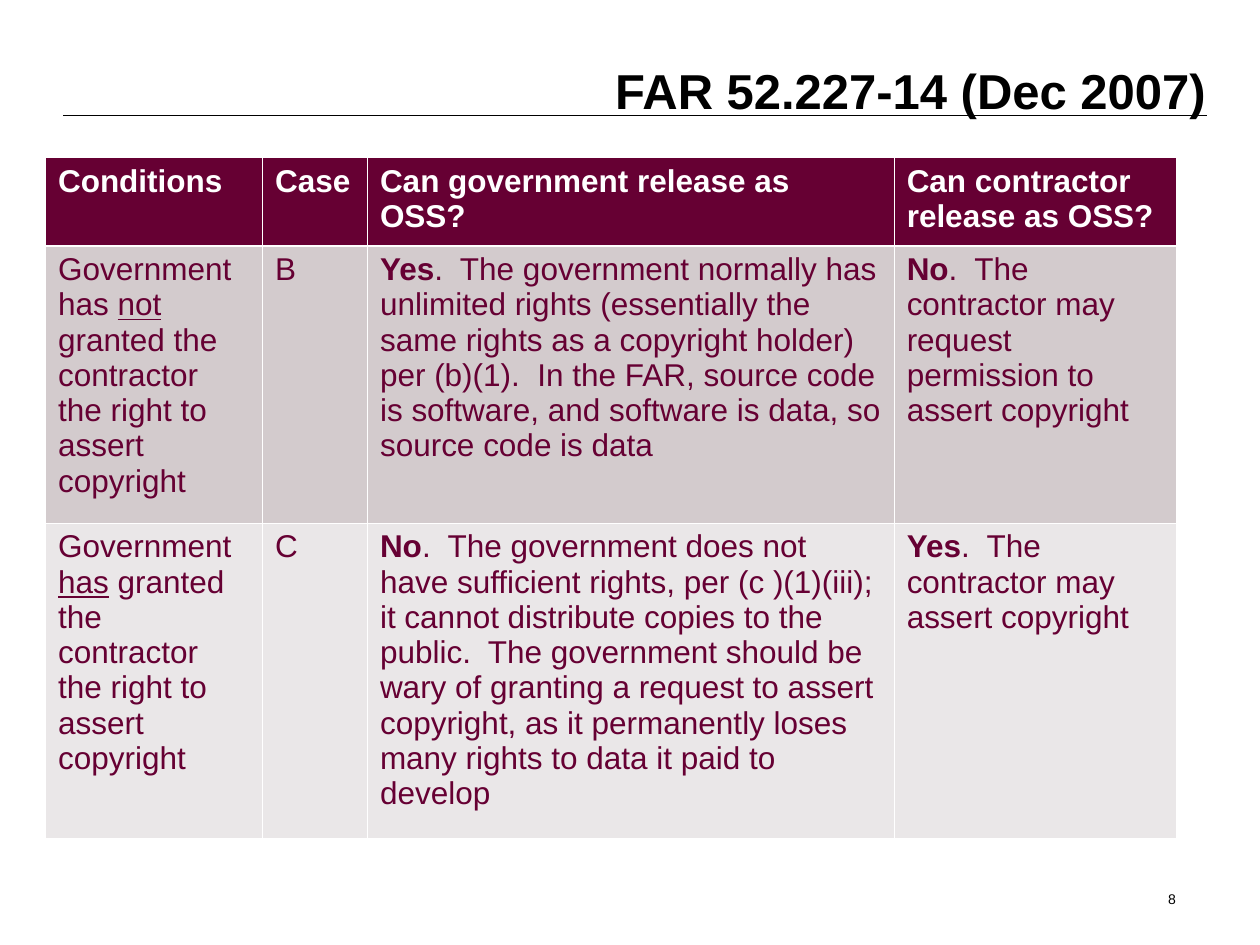
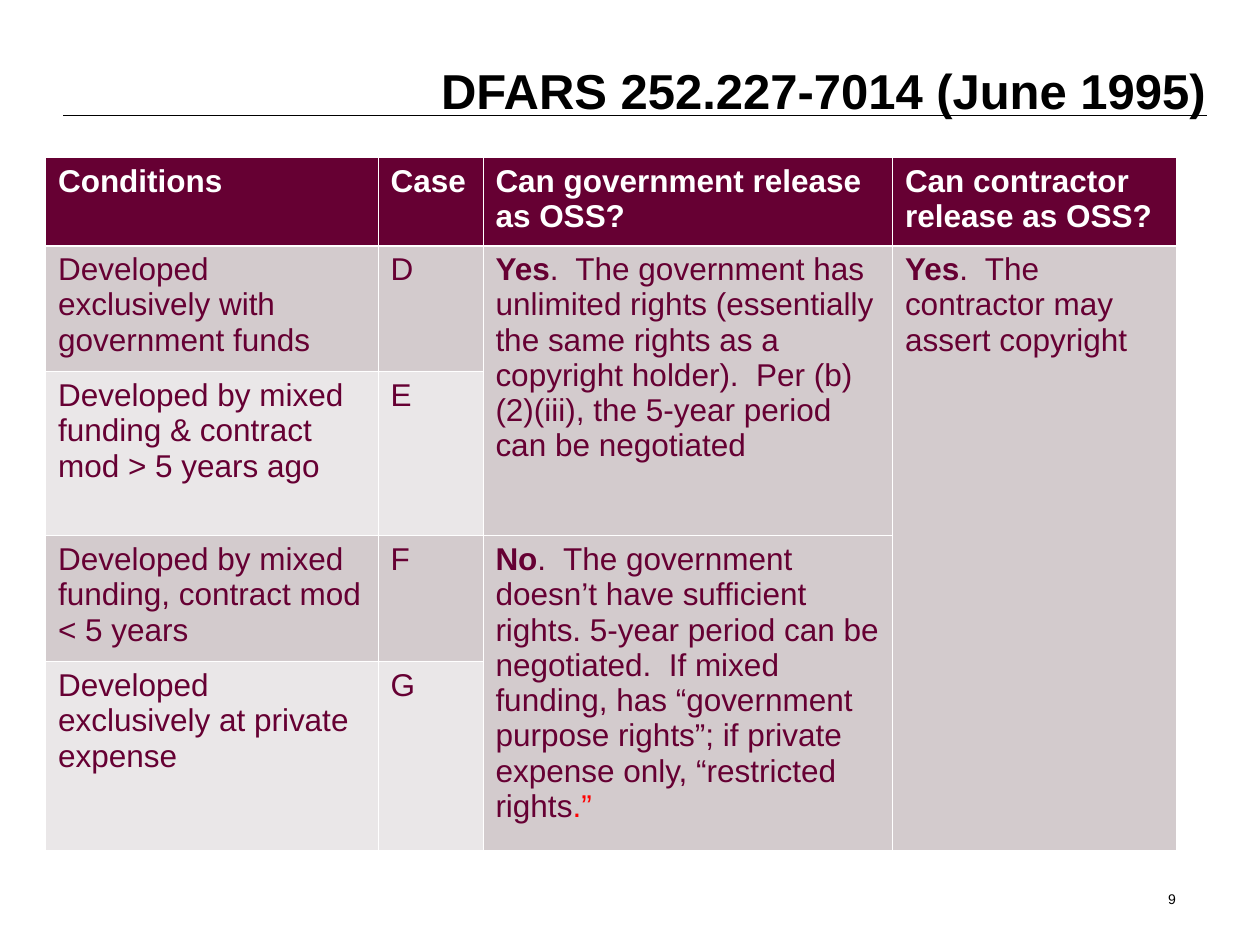
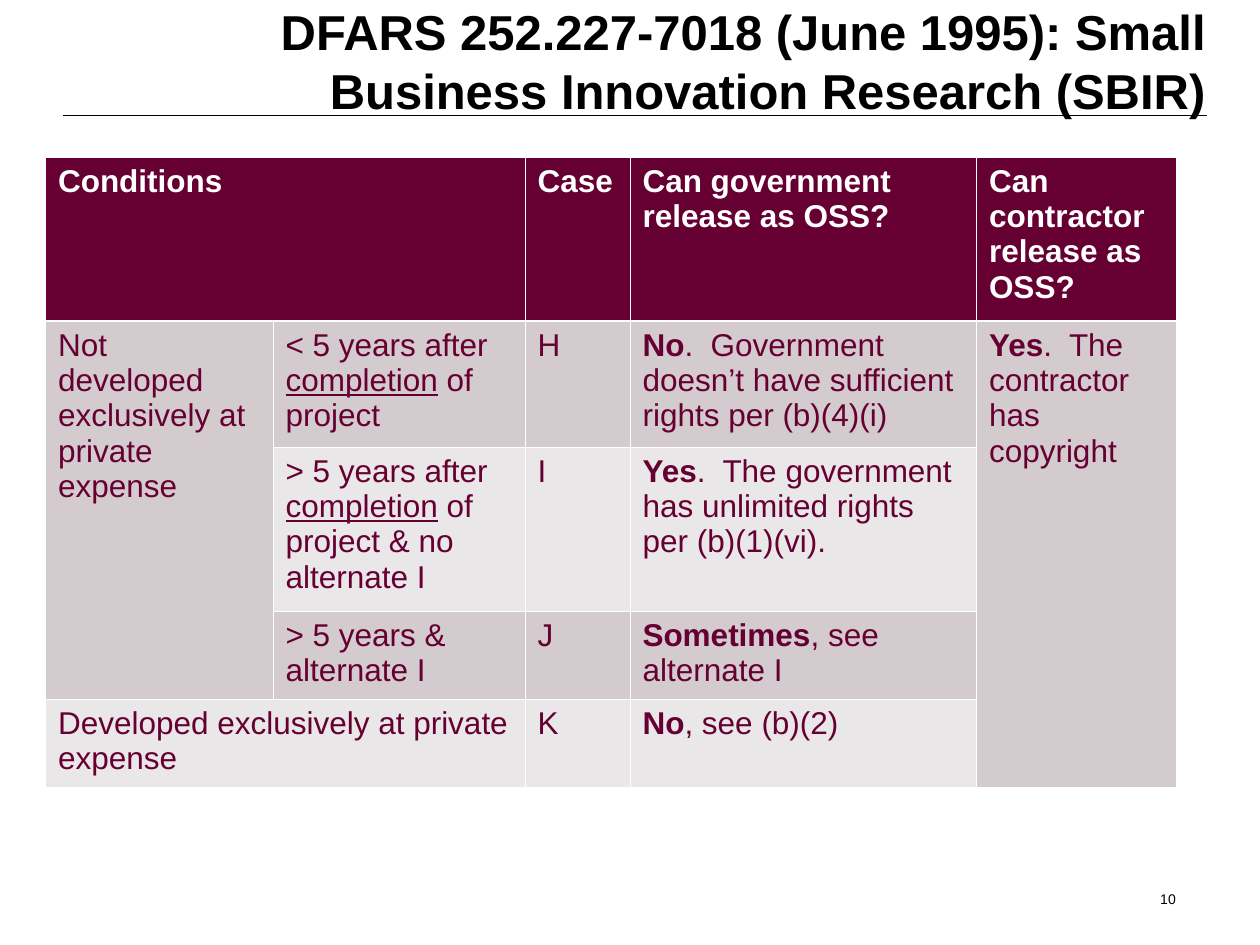
"""Build three slides of tables on who may release software as open source."""
from dataclasses import dataclass
from typing import Any, NamedTuple

from pptx import Presentation
from pptx.dml.color import RGBColor
from pptx.enum.shapes import MSO_CONNECTOR
from pptx.enum.text import MSO_ANCHOR as Anchor, MSO_AUTO_SIZE as AutoSize, PP_ALIGN as Align
from pptx.oxml import parse_xml
from pptx.oxml.ns import nsdecls
from pptx.oxml.xmlchemy import OxmlElement
from pptx.util import Pt

BLACK = RGBColor(0, 0, 0)
WHITE = RGBColor(255, 255, 255)
RED = RGBColor(255, 0, 0)
WINE = RGBColor(0x66, 0x00, 0x33)
DARK_BAND = RGBColor(0xD3, 0xCB, 0xCD)
LIGHT_BAND = RGBColor(0xEA, 0xE7, 0xE8)

FONT_NAME = "Arial"
TITLE_FONT = {"name": FONT_NAME, "size": Pt(28), "bold": True}
NUMBER_FONT = {"name": FONT_NAME, "size": Pt(8)}
HEADER_FONT = {"name": FONT_NAME, "size": Pt(18), "bold": True}
BODY_FONT = {**HEADER_FONT, "bold": False}
INSETS = {"margin_left": Pt(7.2), "margin_right": Pt(7.2),
          "margin_top": Pt(3.6), "margin_bottom": Pt(3.6)}
BOTTOM_FRAME = {**INSETS, "word_wrap": True, "vertical_anchor": Anchor.BOTTOM}

TABLE_LEFT, TABLE_TOP = 26, 90
THIN_RULE, HEADER_RULE = 0.45, 1.47
FIRST_NUMBER = 8


class Run(NamedTuple):
    """A stretch of text with its own emphasis."""
    text: str
    bold: bool = False
    underline: bool = False
    color: RGBColor = WINE


@dataclass(frozen=True)
class Entry:
    """The contents of a table cell and where it sits."""
    row: int
    column: int
    runs: tuple[Run, ...]
    rows: int = 1
    columns: int = 1


class Box(NamedTuple):
    """A rectangle in points."""
    left: float
    top: float
    width: float
    height: float


@dataclass(frozen=True)
class Clause:
    """One contract clause: its title and its table of cases."""
    title: str
    title_box: Box
    widths: tuple[float, ...]
    heights: tuple[float, ...]
    entries: tuple[Entry, ...]


def plain(text: str) -> tuple[Run, ...]:
    """Return text without emphasis."""
    return (Run(text),)


def answer(verdict: str, reason: str) -> tuple[Run, ...]:
    """Return a bold verdict followed by its reason."""
    return Run(verdict, bold=True), Run(reason)


def stressed(before: str, word: str, after: str) -> tuple[Run, ...]:
    """Return a sentence with one underlined word."""
    return Run(before), Run(word, underline=True), Run(after)


def headings(condition_columns: int = 1) -> tuple[Entry, ...]:
    """Return the header row, its first heading spanning the condition columns."""
    others = ("Case", "Can government release as OSS?", "Can contractor release as OSS?")
    return (Entry(0, 0, plain("Conditions"), columns=condition_columns),
            *(Entry(0, column, plain(text))
              for column, text in enumerate(others, condition_columns)))


def cases(letters: str, column: int = 1) -> tuple[Entry, ...]:
    """Return the case letters, one for each body row."""
    return tuple(Entry(row, column, plain(letter)) for row, letter in enumerate(letters, 1))


MAY_ASSERT = answer("Yes", ".  The contractor may assert copyright")
PRIVATE = plain("Developed exclusively at private expense")
GRANTED = " granted the contractor the right to assert copyright"
ONE_LINE_TITLE = Box(204, 31, 492, 41)

CLAUSES = (
    Clause(
        "FAR 52.227-14 (Dec 2007)", ONE_LINE_TITLE,
        (124, 60, 301, 161.5), (50.4, 158.4, 180),
        (*headings(), *cases("BC"),
         Entry(1, 0, stressed("Government has ", "not", GRANTED)),
         Entry(1, 2, answer("Yes", ".  The government normally has unlimited rights (essentially "
                            "the same rights as a copyright holder) per (b)(1).  In the FAR, "
                            "source code is software, and software is data, so source code is "
                            "data")),
         Entry(1, 3, answer("No", ".  The contractor may request permission to assert copyright")),
         Entry(2, 0, stressed("Government ", "has", GRANTED)),
         Entry(2, 2, answer("No", ".  The government does not have sufficient rights, per "
                            "(c )(1)(iii); it cannot distribute copies to the public.  The "
                            "government should be wary of granting a request to assert "
                            "copyright, as it permanently loses many rights to data it paid to "
                            "develop")),
         Entry(2, 3, MAY_ASSERT))),
    Clause(
        "DFARS 252.227-7014 (June 1995)", ONE_LINE_TITLE,
        (190, 60, 234, 162.5), (50.4, 72, 93.6, 72, 108),
        (*headings(), *cases("DEFG"),
         Entry(1, 0, plain("Developed exclusively with government funds")),
         Entry(2, 0, plain("Developed by mixed funding & contract mod > 5 years ago")),
         Entry(3, 0, plain("Developed by mixed funding, contract mod < 5 years")),
         Entry(4, 0, PRIVATE),
         Entry(1, 2, answer("Yes", ".  The government has unlimited rights (essentially the same "
                            "rights as a copyright holder).  Per (b)(2)(iii), the 5-year period "
                            "can be negotiated"), rows=2),
         Entry(3, 2, (*answer("No", ".  The government doesn’t have sufficient rights. 5-year "
                              "period can be negotiated.  If mixed funding, has “government "
                              "purpose rights”; if private expense only, “restricted rights"),
                      Run(".”", color=RED)), rows=2),
         Entry(1, 3, MAY_ASSERT, rows=4))),
    Clause(
        "DFARS 252.227-7018 (June 1995): Small Business Innovation Research (SBIR)",
        Box(108, -36.7, 588, 108.7),
        (130, 144, 60, 198, 114.5), (93.6, 72, 93.6, 50.4, 50.4),
        (*headings(2), *cases("HIJK", 2),
         Entry(1, 0, plain("Not developed exclusively at private expense"), rows=3),
         Entry(1, 1, stressed("< 5 years after ", "completion", " of project")),
         Entry(2, 1, stressed("> 5 years after ", "completion",
                              " of project & no alternate I")),
         Entry(3, 1, plain("> 5 years & alternate I")),
         Entry(4, 0, PRIVATE, columns=2),
         Entry(1, 3, answer("No", ".  Government doesn’t have sufficient rights per (b)(4)(i)")),
         Entry(2, 3, answer("Yes", ".  The government has unlimited rights per (b)(1)(vi).")),
         Entry(3, 3, answer("Sometimes", ", see alternate I")),
         Entry(4, 3, answer("No", ", see (b)(2)")),
         Entry(1, 4, answer("Yes", ".  The contractor has copyright"), rows=4))),
)


def apply(target: Any, values: dict[str, Any]) -> None:
    """Set each named attribute of the target."""
    for name, value in values.items():
        setattr(target, name, value)


def write_right(frame: Any, text: str, font: dict[str, Any]) -> None:
    """Write one right-aligned black line at the bottom of a text frame."""
    apply(frame, BOTTOM_FRAME)
    paragraph = frame.paragraphs[0]
    paragraph.alignment = Align.RIGHT
    run = paragraph.add_run()
    run.text = text
    apply(run.font, font)
    run.font.color.rgb = BLACK


def draw_title(slide: Any, text: str, box: Box) -> None:
    """Draw the rule and place the title upon it."""
    rule = slide.shapes.add_connector(MSO_CONNECTOR.STRAIGHT, Pt(36), Pt(66), Pt(690), Pt(66))
    rule.line.color.rgb = BLACK
    rule.line.width = Pt(0.75)
    rule._element.spPr.append(OxmlElement("a:effectLst"))
    title = slide.shapes.title
    apply(title, {name: Pt(value) for name, value in box._asdict().items()})
    title.text_frame.auto_size = AutoSize.SHAPE_TO_FIT_TEXT
    write_right(title.text_frame, text, TITLE_FONT)


def draw_number(slide: Any, number: int) -> None:
    """Place the page number at the lower right."""
    box = slide.shapes.add_textbox(Pt(529), Pt(486), Pt(150), Pt(36))
    write_right(box.text_frame, str(number), NUMBER_FONT)


def style_cell(cell: Any, row: int) -> None:
    """Give a cell the fill, insets and white borders of its row."""
    cell.fill.solid()
    cell.fill.fore_color.rgb = WINE if row == 0 else DARK_BAND if row % 2 else LIGHT_BAND
    apply(cell, INSETS)
    borders = {"L": THIN_RULE, "R": THIN_RULE,
               "T": HEADER_RULE if row == 1 else THIN_RULE,
               "B": HEADER_RULE if row == 0 else THIN_RULE}
    properties = cell._tc.get_or_add_tcPr()
    for position, (side, width) in enumerate(borders.items()):
        properties.insert(position, parse_xml(
            f'<a:ln{side} {nsdecls("a")} w="{Pt(width)}"><a:solidFill>'
            f'<a:srgbClr val="{WHITE}"/></a:solidFill></a:ln{side}>'))


def draw_table(slide: Any, clause: Clause) -> None:
    """Draw the table of cases."""
    table = slide.shapes.add_table(
        len(clause.heights), len(clause.widths), Pt(TABLE_LEFT), Pt(TABLE_TOP),
        Pt(sum(clause.widths)), Pt(sum(clause.heights))).table
    for column, width in zip(table.columns, clause.widths):
        column.width = Pt(width)
    for index, (row, height) in enumerate(zip(table.rows, clause.heights)):
        row.height = Pt(height)
        for cell in row.cells:
            style_cell(cell, index)
    for entry in clause.entries:
        cell = table.cell(entry.row, entry.column)
        if entry.rows > 1 or entry.columns > 1:
            cell.merge(table.cell(entry.row + entry.rows - 1, entry.column + entry.columns - 1))
        for part in entry.runs:
            run = cell.text_frame.paragraphs[0].add_run()
            run.text = part.text
            apply(run.font, HEADER_FONT if entry.row == 0 else
                  {**BODY_FONT, "bold": part.bold, "underline": part.underline})
            run.font.color.rgb = WHITE if entry.row == 0 else part.color


def main() -> None:
    """Build and save the slides."""
    deck = Presentation()
    deck.slide_width, deck.slide_height = Pt(720), Pt(540)
    title_only = deck.slide_layouts[5]
    for number, clause in enumerate(CLAUSES, FIRST_NUMBER):
        slide = deck.slides.add_slide(title_only)
        draw_title(slide, clause.title, clause.title_box)
        draw_table(slide, clause)
        draw_number(slide, number)
    deck.save("out.pptx")


if __name__ == "__main__":
    main()
